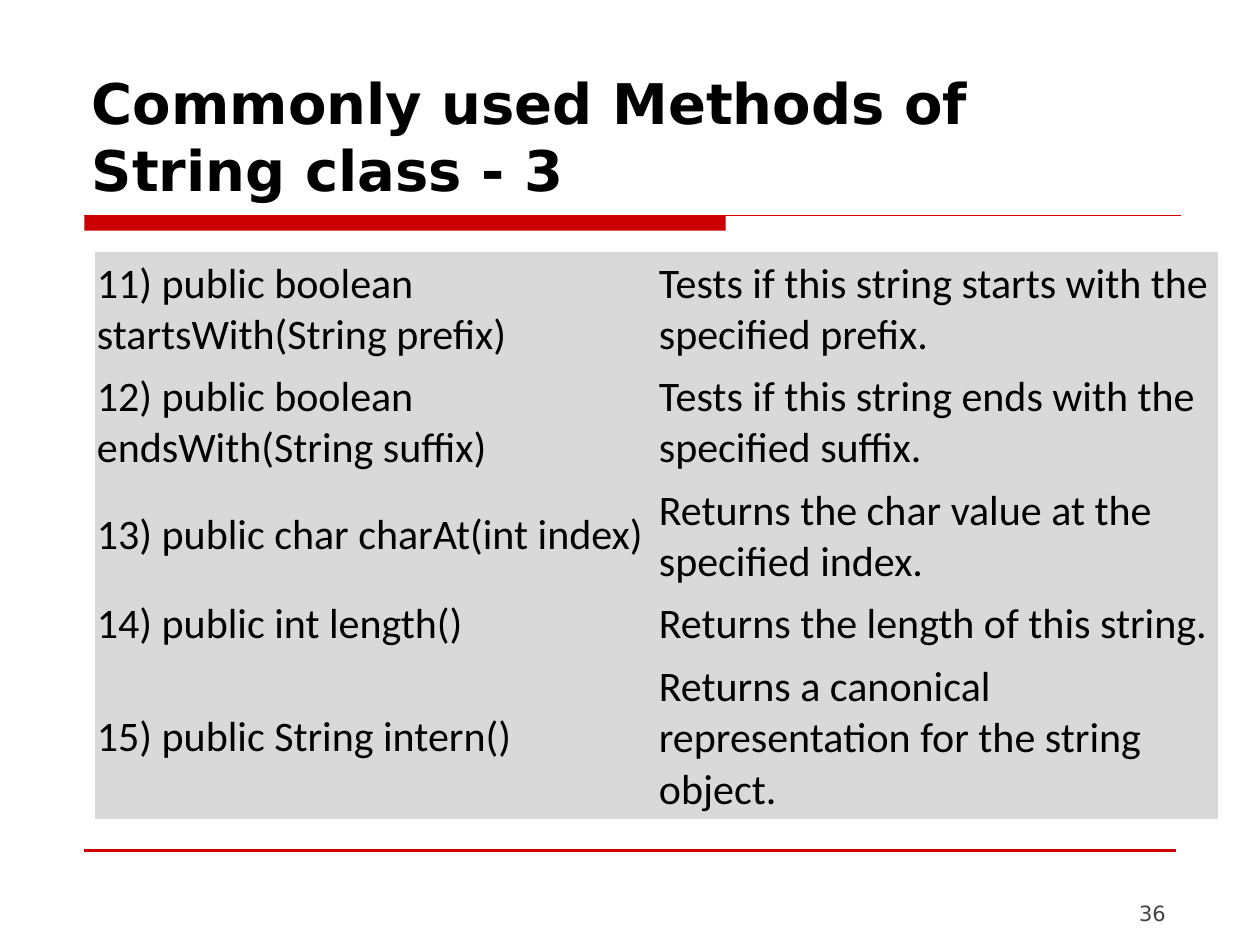
import pptx
import pptx.dml.color
import pptx.enum.shapes
import pptx.enum.text
import pptx.util
import lxml.etree

RGB = pptx.dml.color.RGBColor
RED = RGB(0xCC, 0x00, 0x00)
GREY = RGB(0xD9, 0xD9, 0xD9)
DARK = RGB(0x42, 0x42, 0x42)
BLACK = RGB(0x00, 0x00, 0x00)

TITLE = "Commonly used Methods of String class - 3"
PAGE = "36"
ROWS = [
    ("11) public boolean startsWith(String prefix)",
     "Tests if this string starts with the specified prefix.", 2),
    ("12) public boolean endsWith(String suffix)",
     "Tests if this string ends with the specified suffix.", 2),
    ("13) public char charAt(int index)",
     "Returns the char value at the specified index.", 2),
    ("14) public int length()", "Returns the length of this string.", 1),
    ("15) public String intern()",
     "Returns a canonical representation for the string object.", 3),
]

Inch = pptx.util.Inches
Pt = pptx.util.Pt
MID = pptx.enum.text.MSO_ANCHOR.MIDDLE
LOW = pptx.enum.text.MSO_ANCHOR.BOTTOM
LEFT, TOP, COL = 0.75, 2, 4.46
LINE, PAD = 0.4, 0.04
EDGE, RULE = 0.67, 1.71

HEAD = {"name": "DejaVu Sans", "size": Pt(32), "bold": True}
BODY = {"name": "Calibri", "size": Pt(24), "bold": False}
FOOT = {"name": "DejaVu Sans", "size": Pt(12), "bold": False}
CELL = {"margin_left": Inch(0.02), "margin_right": Inch(0.02),
        "margin_top": Inch(0.05), "margin_bottom": Inch(0.05),
        "vertical_anchor": MID}
WRAP = {"word_wrap": True, "vertical_anchor": LOW}
FLUSH = {"margin_left": 0, "margin_right": 0,
         "margin_top": 0, "margin_bottom": 0}


def apply(item, form):
    for key, val in form.items():
        setattr(item, key, val)


def write(frame, text, form, color):
    para = frame.paragraphs[0]
    run = para.add_run()
    run.text = text
    apply(run.font, form)
    run.font.color.rgb = color


def add_text(slide, spot, text, form, color, extra):
    frame = slide.shapes.add_textbox(*map(Inch, spot)).text_frame
    apply(frame, {**WRAP, **extra})
    write(frame, text, form, color)


def add_rule(slide, end, y, width):
    kind = pptx.enum.shapes.MSO_CONNECTOR.STRAIGHT
    rule = slide.shapes.add_connector(
        kind, Inch(EDGE), Inch(y), Inch(end), Inch(y))
    rule.line.color.rgb = RED
    rule.line.width = Pt(width)
    lxml.etree.SubElement(
        rule._element.spPr, pptx.oxml.ns.qn("a:effectLst"))


def add_bar(slide):
    bar = slide.shapes.add_shape(
        pptx.enum.shapes.MSO_SHAPE.RECTANGLE,
        *map(Inch, (EDGE, RULE, 5.09, 0.12)))
    bar.shadow.inherit = False
    bar.fill.solid()
    bar.fill.fore_color.rgb = RED
    bar.line.fill.background()


def add_grid(slide):
    highs = [LINE * count + PAD for _, _, count in ROWS]
    spot = map(Inch, (LEFT, TOP, 2 * COL, sum(highs)))
    table = slide.shapes.add_table(len(ROWS), 2, *spot).table
    table.first_row = table.horz_banding = False
    for col in table.columns:
        col.width = Inch(COL)
    for r, (row, high) in enumerate(zip(ROWS, highs)):
        table.rows[r].height = Inch(high)
        for c, text in enumerate(row[:2]):
            cell = table.cell(r, c)
            apply(cell, CELL)
            cell.fill.solid()
            cell.fill.fore_color.rgb = GREY
            write(cell.text_frame, text, BODY, BLACK)
            props = cell._tc.get_or_add_tcPr()
            for at, side in enumerate(("lnL", "lnR", "lnT", "lnB")):
                edge = lxml.etree.Element(pptx.oxml.ns.qn("a:" + side))
                lxml.etree.SubElement(edge, pptx.oxml.ns.qn("a:noFill"))
                props.insert(at, edge)


def main():
    deck = pptx.Presentation()
    deck.slide_width, deck.slide_height = Inch(10), Inch(7.5)
    slide = deck.slides.add_slide(deck.slide_layouts[6])
    add_bar(slide)
    add_rule(slide, 9.37, RULE, 0.75)
    add_rule(slide, 9.33, 6.75, 2)
    add_text(slide, (9.04, 6.95, 0.83, 0.4), PAGE, FOOT, DARK, FLUSH)
    add_text(slide, (0.63, 0.33, 8.75, 1.33), TITLE, HEAD, BLACK, {})
    add_grid(slide)
    deck.save("out.pptx")


if __name__ == "__main__":
    main()
